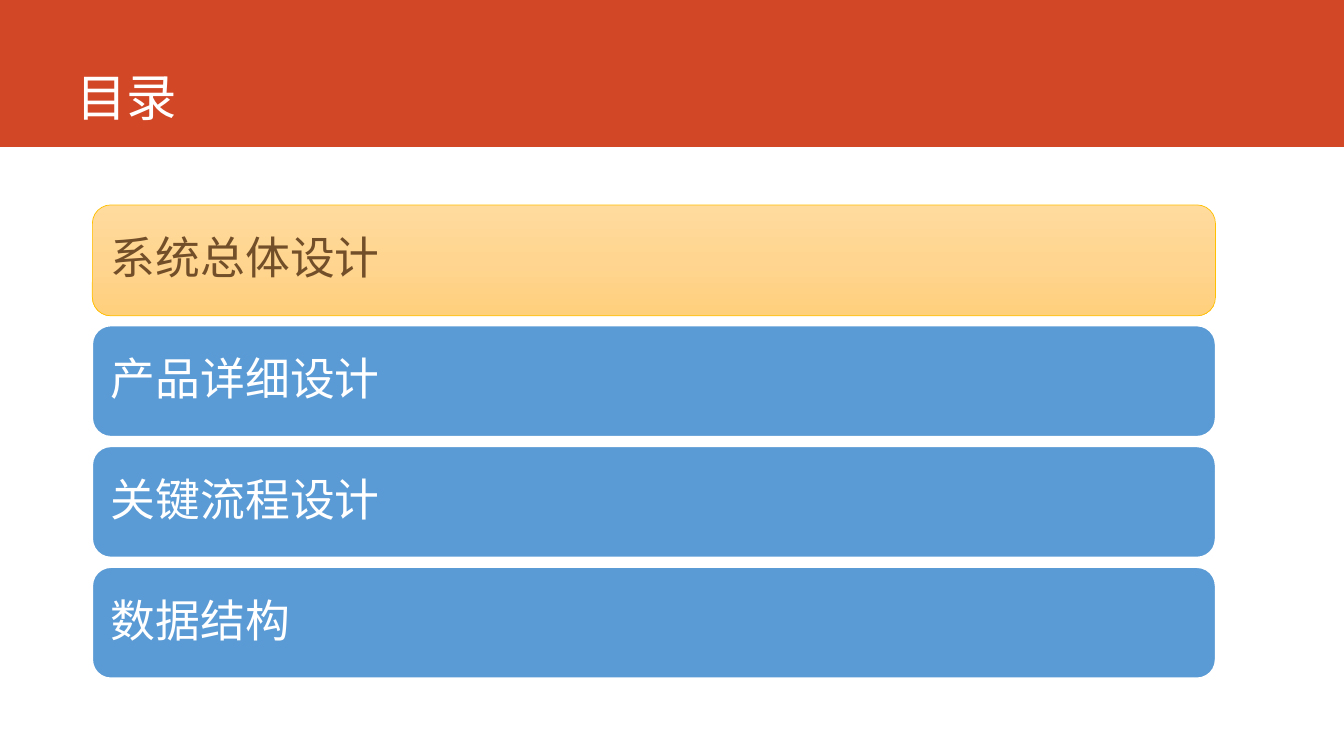
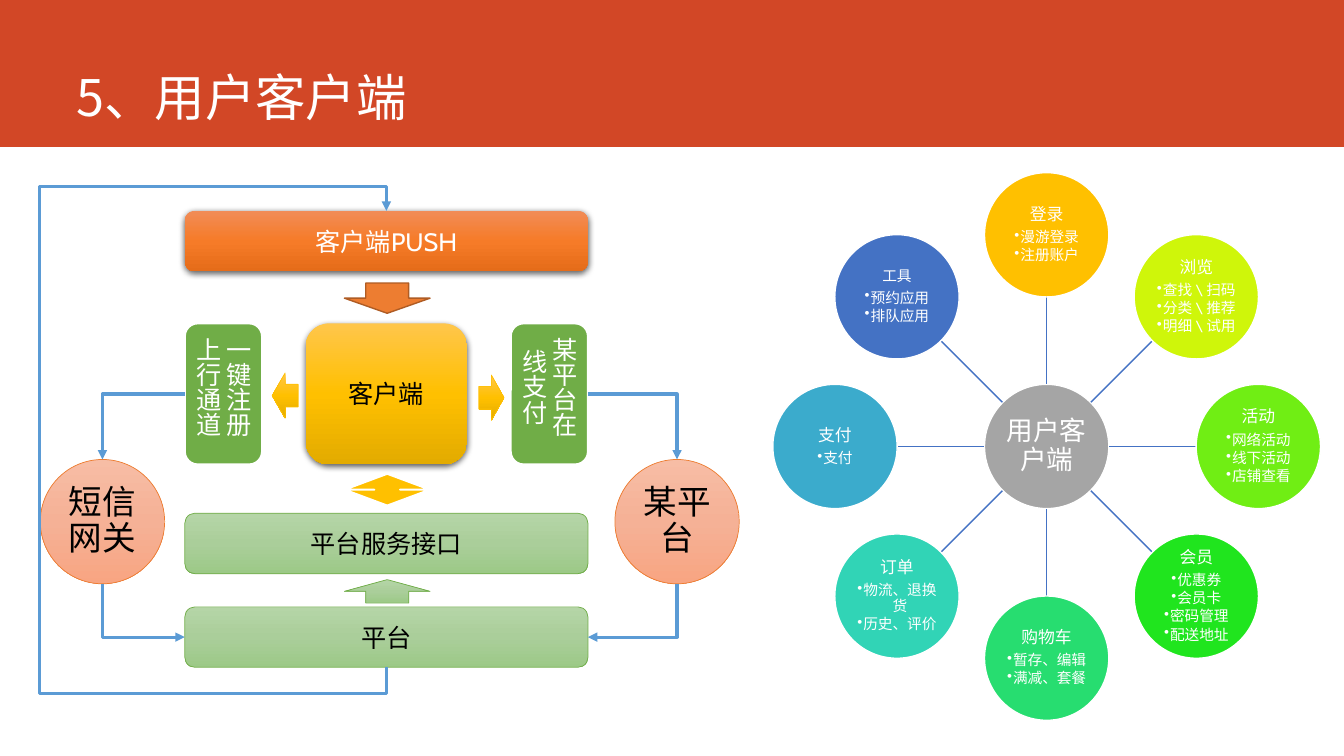
from copy import deepcopy
from dataclasses import dataclass
from math import cos, radians, sin

from lxml import etree
from pptx import Presentation
from pptx.dml.color import RGBColor
from pptx.enum.shapes import MSO_CONNECTOR, MSO_SHAPE
from pptx.enum.text import MSO_ANCHOR, PP_ALIGN
from pptx.oxml.ns import qn
from pptx.util import Emu, Inches, Pt

RECT, ROUND, OVAL = MSO_SHAPE.RECTANGLE, MSO_SHAPE.ROUNDED_RECTANGLE, MSO_SHAPE.OVAL
LEFT_ARROW, RIGHT_ARROW = MSO_SHAPE.LEFT_ARROW, MSO_SHAPE.RIGHT_ARROW
UP_ARROW, DOWN_ARROW = MSO_SHAPE.UP_ARROW, MSO_SHAPE.DOWN_ARROW
UP_DOWN_ARROW = MSO_SHAPE.UP_DOWN_ARROW
STRAIGHT = MSO_CONNECTOR.STRAIGHT
MIDDLE, BOTTOM = MSO_ANCHOR.MIDDLE, MSO_ANCHOR.BOTTOM
LEFT, CENTER = PP_ALIGN.LEFT, PP_ALIGN.CENTER

SLIDE_W, SLIDE_H = Inches(13.333), Inches(7.5)
COLUMNS, ROWS = 160, 90
TITLE_FONT, BODY_FONT = "Noto Sans CJK SC", "Cabin"
WHITE, BLACK = "FFFFFF", "000000"
BAND_RED, FLOW_BLUE, SPOKE_BLUE = "D24726", "5B9BD5", "4472C4"


@dataclass(frozen=True)
class Style:
    fill: str | tuple[str, ...]
    line: str | None = None
    weight: float = 0.5
    shadow: bool = False


@dataclass(frozen=True)
class Box:
    """A place on the grid, in columns and rows."""
    left: float
    top: float
    width: float
    height: float


@dataclass(frozen=True)
class Label:
    text: str
    size: float
    color: str = WHITE
    align: PP_ALIGN = CENTER
    bullets: tuple[str, ...] = ()
    inset: float | None = None
    vertical: bool = False
    spacing: float | None = None


@dataclass(frozen=True)
class Feature:
    name: str
    color: str
    items: tuple[str, ...]
    size: float = 12


AGENDA_ACTIVE = Style(("FFDB9E", "FFD590", "FFD07C"), "FFC000")
AGENDA_PLAIN = Style(FLOW_BLUE, WHITE, 1)
GREEN = Style(("B5D5A7", "AACE9A", "9CC987"), "70AD47")
GOLD = ("FFC64B", "FFC000", "E3AB00")
GOLD_ARROW = Style(GOLD, "FFC000")
CHANNEL = Style("70AD47", WHITE, 1.5)
GATEWAY = Style(("F7BDA5", "F5B196", "F8A582"), "ED7D31")
PUSH = Style(("F18C57", "F67B28", "E56C19"), shadow=True)

AGENDA = ("系统总体设计", "产品详细设计", "关键流程设计", "数据结构")
FEATURES = (
    Feature("登录", "FFC000", ("漫游登录", "注册账户")),
    Feature("浏览", "CFF60A", (r"查找 \ 扫码", r"分类 \ 推荐", r"明细 \ 试用")),
    Feature("活动", "70EE14", ("网络活动", "线下活动", "店铺查看")),
    Feature("会员", "20E51E", ("优惠券", "会员卡", "密码管理", "配送地址")),
    Feature("购物车", "27DD70", ("暂存、编辑", "满减、套餐")),
    Feature("订单", "31D4B6", ("物流、退换货", "历史、评价")),
    Feature("支付", "3BABCC", ("支付",)),
    Feature("工具", "4472C4", ("预约应用", "排队应用"), 10.5),
)


def rgb(code: str) -> RGBColor:
    return RGBColor.from_string(code)


def col(count: float) -> Emu:
    return Emu(round(SLIDE_W * count / COLUMNS))


def row(count: float) -> Emu:
    return Emu(round(SLIDE_H * count / ROWS))


def centered(x: float, y: float, width: float, height: float) -> Box:
    return Box(x - width / 2, y - height / 2, width, height)


def set_font(paragraph, size: float, color: str, name: str) -> None:
    """Set the font for Latin and East Asian letters alike."""
    font = paragraph.font
    font.size, font.name = Pt(size), name
    font.color.rgb = rgb(color)
    defaults = paragraph._p.pPr.find(qn("a:defRPr"))
    etree.SubElement(defaults, qn("a:ea"), typeface=name)


def set_bullet(paragraph) -> None:
    properties = paragraph._p.pPr
    indent = Inches(0.06)
    properties.set("marL", str(indent))
    properties.set("indent", str(-indent))
    bullet = etree.Element(qn("a:buChar"), char="•")
    properties.find(qn("a:defRPr")).addprevious(bullet)


def paint(shape, style: Style) -> None:
    if isinstance(style.fill, str):
        shape.fill.solid()
        shape.fill.fore_color.rgb = rgb(style.fill)
    else:
        shape.fill.gradient()
        shape.fill.gradient_angle = 270
        stop_list = shape._element.spPr.find(qn("a:gradFill")).find(qn("a:gsLst"))
        stop_list.append(deepcopy(stop_list[-1]))
        for i, (stop, color) in enumerate(zip(shape.fill.gradient_stops, style.fill)):
            stop.position = i / 2
            stop.color.rgb = rgb(color)
    if style.line:
        shape.line.color.rgb = rgb(style.line)
        shape.line.width = Pt(style.weight)
    else:
        shape.line.fill.background()
    shape.shadow.inherit = False
    if style.shadow:
        effects = shape._element.spPr.find(qn("a:effectLst"))
        outer = etree.SubElement(effects, qn("a:outerShdw"), blurRad=str(Pt(4.5)),
                                 dist=str(Pt(1.5)), dir="5400000", rotWithShape="0")
        color = etree.SubElement(outer, qn("a:srgbClr"), val=BLACK)
        etree.SubElement(color, qn("a:alpha"), val="63000")


def write(shape, label: Label) -> None:
    frame = shape.text_frame
    frame.word_wrap = True
    frame.vertical_anchor = MIDDLE
    if label.inset is not None:
        frame.margin_left = frame.margin_right = Inches(label.inset)
        frame.margin_top = frame.margin_bottom = Inches(label.inset)
    if label.vertical:
        frame._txBody.bodyPr.set("vert", "eaVert")
    for i, text in enumerate((label.text, *label.bullets)):
        paragraph = frame.add_paragraph() if i else frame.paragraphs[0]
        paragraph.text = text
        paragraph.alignment = label.align
        size = 10.5 if i else label.size
        if label.spacing:
            paragraph.line_spacing = label.spacing
            paragraph.space_after = Pt(round(size * (0.15 if i else 0.35), 1))
        set_font(paragraph, size, label.color, BODY_FONT)
        if i:
            set_bullet(paragraph)


def add_block(slide, kind: MSO_SHAPE, box: Box, style: Style, label: Label | None = None):
    shape = slide.shapes.add_shape(kind, col(box.left), row(box.top),
                                   col(box.width), row(box.height))
    paint(shape, style)
    if label:
        write(shape, label)
    return shape


def add_route(slide, *points: tuple[float, float]) -> None:
    """Draw a bent line through grid points with an arrowhead at its end."""
    start, *rest = [(col(x), row(y)) for x, y in points]
    builder = slide.shapes.build_freeform(*start, scale=1.0)
    builder.add_line_segments(rest, close=False)
    route = builder.convert_to_shape()
    route.fill.background()
    route.line.color.rgb = rgb(FLOW_BLUE)
    route.line.width = Pt(2.25)
    route.shadow.inherit = False
    etree.SubElement(route._element.spPr.find(qn("a:ln")), qn("a:tailEnd"), type="triangle")


def add_spoke(slide, start: tuple[float, float], end: tuple[float, float]) -> None:
    spoke = slide.shapes.add_connector(STRAIGHT, col(start[0]), row(start[1]),
                                       col(end[0]), row(end[1]))
    spoke.line.color.rgb = rgb(SPOKE_BLUE)
    spoke.line.width = Pt(1)
    etree.SubElement(spoke._element.spPr, qn("a:effectLst"))


def new_slide(deck, title: str):
    """Add a blank slide with the red band and its title."""
    slide = deck.slides.add_slide(deck.slide_layouts[6])
    add_block(slide, RECT, Box(0, 0, COLUMNS, 17.5), Style(BAND_RED))
    heading = slide.shapes.add_textbox(col(7.9), 0, col(141.1), row(15.8)).text_frame
    heading.word_wrap = True
    heading.vertical_anchor = BOTTOM
    paragraph = heading.paragraphs[0]
    paragraph.text = title
    paragraph.line_spacing = 0.9
    set_font(paragraph, 36, WHITE, TITLE_FONT)
    return slide


def draw_agenda(slide) -> None:
    top, pitch = 24.4, 14.38
    for i, topic in enumerate(AGENDA):
        style, color = (AGENDA_PLAIN, WHITE) if i else (AGENDA_ACTIVE, "734F29")
        add_block(slide, ROUND, Box(11, top + i * pitch, 133.7, 13.2), style,
                  Label(topic, 32, color, LEFT, inset=0.13, spacing=0.9))


def draw_feature_wheel(slide) -> None:
    hub_x, hub_y, orbit, diameter = 124.6, 53.15, 25.2, 14.8
    near = diameter / 2 + 0.05
    far = orbit - near

    def at(angle: float, radius: float) -> tuple[float, float]:
        return hub_x + radius * sin(angle), hub_y - radius * cos(angle)

    add_block(slide, OVAL, centered(hub_x, hub_y, diameter, diameter),
              Style("A5A5A5", WHITE, 1), Label("用户客户端", 19, inset=0.01, spacing=0.9))
    for i, feature in enumerate(FEATURES):
        angle = radians(360 / len(FEATURES) * i)
        add_spoke(slide, at(angle, near), at(angle, far))
        add_block(slide, OVAL, centered(*at(angle, orbit), diameter, diameter),
                  Style(feature.color, WHITE, 1),
                  Label(feature.name, feature.size, bullets=feature.items,
                        inset=0.01, spacing=0.9))


def draw_client_flow(slide) -> None:
    axis, bar_w, bar_h = 46, 48, 7.2
    bar_left, bar_right = axis - bar_w / 2, axis + bar_w / 2
    push_top, service_top, platform_top = 25.1, 61.1, 72.25
    client_y, client_h, channel_w = 46.9, 16.8, 9.2
    gateway_y, gateway_size = 62.1, 14.8

    for text, top, style, color in (
        ("客户端PUSH", push_top, PUSH, WHITE),
        ("平台服务接口", service_top, GREEN, BLACK),
        ("平台", platform_top, GREEN, BLACK),
    ):
        add_block(slide, ROUND, Box(bar_left, top, bar_w, bar_h), style,
                  Label(text, 18, color))
    add_block(slide, ROUND, centered(axis, client_y, 19.2, client_h),
              Style(GOLD, shadow=True), Label("客户端", 18, BLACK))

    for kind, x, y, width, height, style in (
        (DOWN_ARROW, axis + 0.1, 35.5, 10.2, 3.6, Style("ED7D31", "AF5C24", 1)),
        (UP_ARROW, axis + 0.1, 70.4, 10.2, 2.8, GREEN),
        (LEFT_ARROW, 33.95, 47.1, 3.1, 5.4, GOLD_ARROW),
        (RIGHT_ARROW, 58.5, 47.35, 3, 5.4, GOLD_ARROW),
    ):
        add_block(slide, kind, centered(x, y, width, height), style)
    exchange = add_block(slide, UP_DOWN_ARROW, centered(axis + 0.1, 58.3, 10.2, 3.8),
                         Style("FFC000", WHITE, 1.5))
    exchange.adjustments[0], exchange.adjustments[1] = 0.46, 0.3

    platform_y = platform_top + bar_h / 2
    for channel, gateway, gateway_x, channel_left, edge in (
        ("一键注册上行通道", "短信网关", 12.2, bar_left, bar_left),
        ("某平台在线支付", "某平台", 80.6, bar_right - channel_w, bar_right),
    ):
        add_block(slide, ROUND, Box(channel_left, client_y - client_h / 2, channel_w, client_h),
                  CHANNEL, Label(channel, 18, vertical=True))
        add_block(slide, OVAL, centered(gateway_x, gateway_y, gateway_size, gateway_size),
                  GATEWAY, Label(gateway, 24, BLACK, inset=0.01, spacing=0.9))
        add_route(slide, (edge, client_y), (gateway_x, client_y),
                  (gateway_x, gateway_y - gateway_size / 2))
        add_route(slide, (gateway_x, gateway_y + gateway_size / 2),
                  (gateway_x, platform_y), (edge, platform_y))

    loop_left, loop_top, loop_bottom = 4.7, 22.2, 82.6
    add_route(slide, (axis, platform_top + bar_h), (axis, loop_bottom),
              (loop_left, loop_bottom), (loop_left, loop_top),
              (axis, loop_top), (axis, push_top))


def main() -> None:
    deck = Presentation()
    deck.slide_width, deck.slide_height = SLIDE_W, SLIDE_H
    draw_agenda(new_slide(deck, "目录"))
    client = new_slide(deck, "5、用户客户端")
    draw_feature_wheel(client)
    draw_client_flow(client)
    deck.save("out.pptx")


if __name__ == "__main__":
    main()
